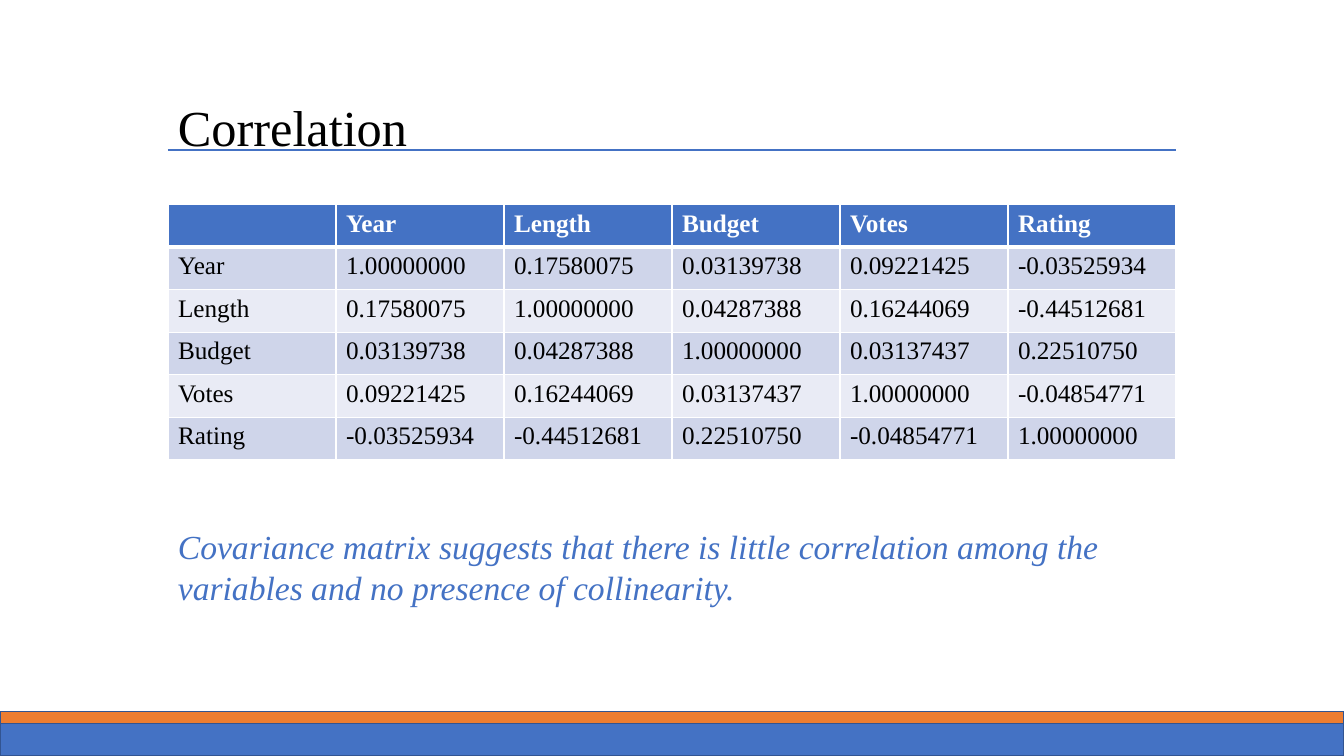
import itertools

import lxml.etree
import pptx
import pptx.dml.color
import pptx.enum.shapes
import pptx.enum.text
import pptx.oxml.ns
import pptx.util

HEADING = "Correlation"
VARIABLES = ["Year", "Length", "Budget", "Votes", "Rating"]
UPPER_TRIANGLE = [
    "0.17580075", "0.03139738", "0.09221425", "-0.03525934",
    "0.04287388", "0.16244069", "-0.44512681",
    "0.03137437", "0.22510750",
    "-0.04854771",
]
DIAGONAL = "1.00000000"
CONCLUSION = ("Covariance matrix suggests that there is little correlation "
              "among the variables and no presence of collinearity.")

COLORS = {"blue": "4472C4", "orange": "ED7D31", "edge": "325491", "black": "000000",
          "white": "FFFFFF", "odd row": "CFD5EA", "even row": "E9EBF5"}
FORMATS = {
    "heading": {"size": 36, "color": "black"},
    "header": {"size": 18, "color": "white", "bold": True},
    "body": {"size": 18, "color": "black", "bold": False},
    "conclusion": {"size": 24, "color": "blue", "italic": True},
}
WIDTH, HEIGHT = 13.33, 7.5
MARGIN = WIDTH / 8
CONTENT_WIDTH = WIDTH - 2 * MARGIN
ROW_HEIGHT = 2.53 / 6
FOOTER_BANDS = [(7.18, 0.32, "blue"), (7.06, 0.12, "orange")]


def rgb(name):
    """Return the named colour."""
    return pptx.dml.color.RGBColor.from_string(COLORS[name])


def inches(*lengths):
    """Convert lengths in inches to slide units."""
    return [pptx.util.Inches(length) for length in lengths]


def write(frame, text, style):
    """Put text in a frame with the named format."""
    paragraph = frame.paragraphs[0]
    paragraph.text = text
    values = {"name": "Times New Roman", **FORMATS[style]}
    values["size"] = pptx.util.Pt(values["size"])
    paragraph.font.color.rgb = rgb(values.pop("color"))
    for font in [paragraph.font] + [run.font for run in paragraph.runs]:
        font.color.rgb = rgb(FORMATS[style]["color"])
        for attribute, value in values.items():
            setattr(font, attribute, value)
    return paragraph


def add_text(slide, top, height, text, style, anchor):
    """Add a wrapped text box across the content width."""
    frame = slide.shapes.add_textbox(*inches(MARGIN, top, CONTENT_WIDTH, height)).text_frame
    frame.word_wrap = True
    frame.vertical_anchor = anchor
    return write(frame, text, style)


def set_borders(cell, widths):
    """Draw white cell borders with widths in points by side."""
    properties = cell._tc.get_or_add_tcPr()
    qn = pptx.oxml.ns.qn
    for position, (side, width) in enumerate(widths.items()):
        line = lxml.etree.Element(qn("a:ln" + side), w=str(pptx.util.Pt(width)))
        fill = lxml.etree.SubElement(line, qn("a:solidFill"))
        lxml.etree.SubElement(fill, qn("a:srgbClr"), val=COLORS["white"])
        properties.insert(position, line)


def add_matrix(slide):
    """Add the symmetric matrix with its header row and column."""
    values = dict(zip(itertools.combinations(VARIABLES, 2), UPPER_TRIANGLE))
    values.update({(b, a): value for (a, b), value in values.items()})
    rows = [[""] + VARIABLES]
    rows += [[a] + [values.get((a, b), DIAGONAL) for b in VARIABLES] for a in VARIABLES]
    count = len(rows)
    table = slide.shapes.add_table(
        count, count, *inches(MARGIN, 2.03, CONTENT_WIDTH, count * ROW_HEIGHT)).table
    for r, row in enumerate(rows):
        table.rows[r].height = pptx.util.Inches(ROW_HEIGHT)
        table.columns[r].width = pptx.util.Inches(CONTENT_WIDTH / count)
        shade = "blue" if r == 0 else "odd row" if r % 2 else "even row"
        for c, text in enumerate(row):
            cell = table.cell(r, c)
            write(cell.text_frame, text, "body" if r else "header")
            cell.fill.solid()
            cell.fill.fore_color.rgb = rgb(shade)
            set_borders(cell, {"L": 1, "R": 1, "T": 3 if r == 1 else 1, "B": 1 if r else 3})


def add_rule(slide, y):
    """Add the line under the heading."""
    rule = slide.shapes.add_connector(
        pptx.enum.shapes.MSO_CONNECTOR.STRAIGHT, *inches(MARGIN, y, WIDTH - MARGIN, y))
    rule.line.color.rgb = rgb("blue")
    rule.line.width = pptx.util.Pt(1.5)
    lxml.etree.SubElement(rule._element.spPr, pptx.oxml.ns.qn("a:effectLst"))


def add_band(slide, top, height, color):
    """Add a footer band across the slide."""
    band = slide.shapes.add_shape(
        pptx.enum.shapes.MSO_SHAPE.RECTANGLE, *inches(0, top, WIDTH, height))
    band.shadow.inherit = False
    band.fill.solid()
    band.fill.fore_color.rgb = rgb(color)
    band.line.color.rgb = rgb("edge")
    band.line.width = pptx.util.Pt(1)


def build():
    """Build and save the correlation slide."""
    deck = pptx.Presentation()
    deck.slide_width, deck.slide_height = inches(WIDTH, HEIGHT)
    slide = deck.slides.add_slide(deck.slide_layouts[6])
    anchors = pptx.enum.text.MSO_ANCHOR
    heading = add_text(slide, 0.85, 0.76, HEADING, "heading", anchors.BOTTOM)
    heading.line_spacing = 0.9
    add_rule(slide, 1.49)
    for band in FOOTER_BANDS:
        add_band(slide, *band)
    add_matrix(slide)
    add_text(slide, 5.17, 0.91, CONCLUSION, "conclusion", anchors.TOP)
    deck.save("out.pptx")


build()
